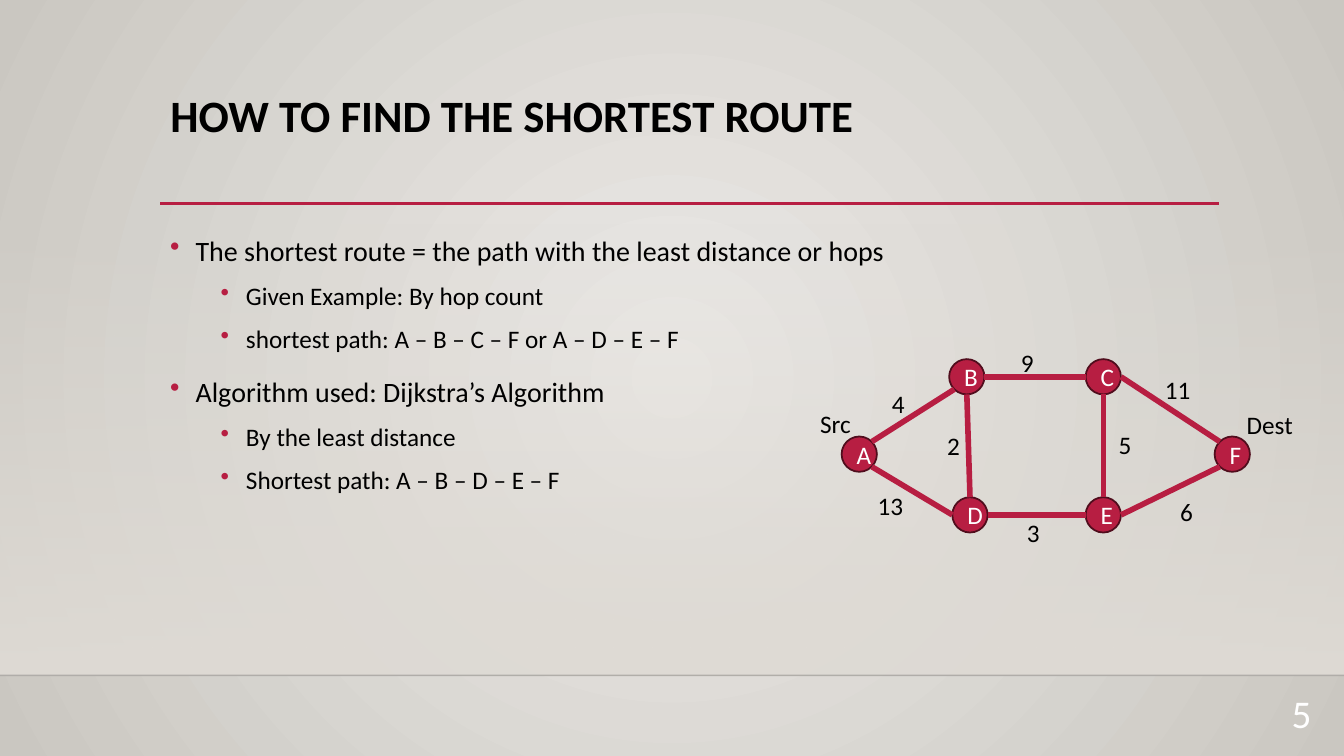
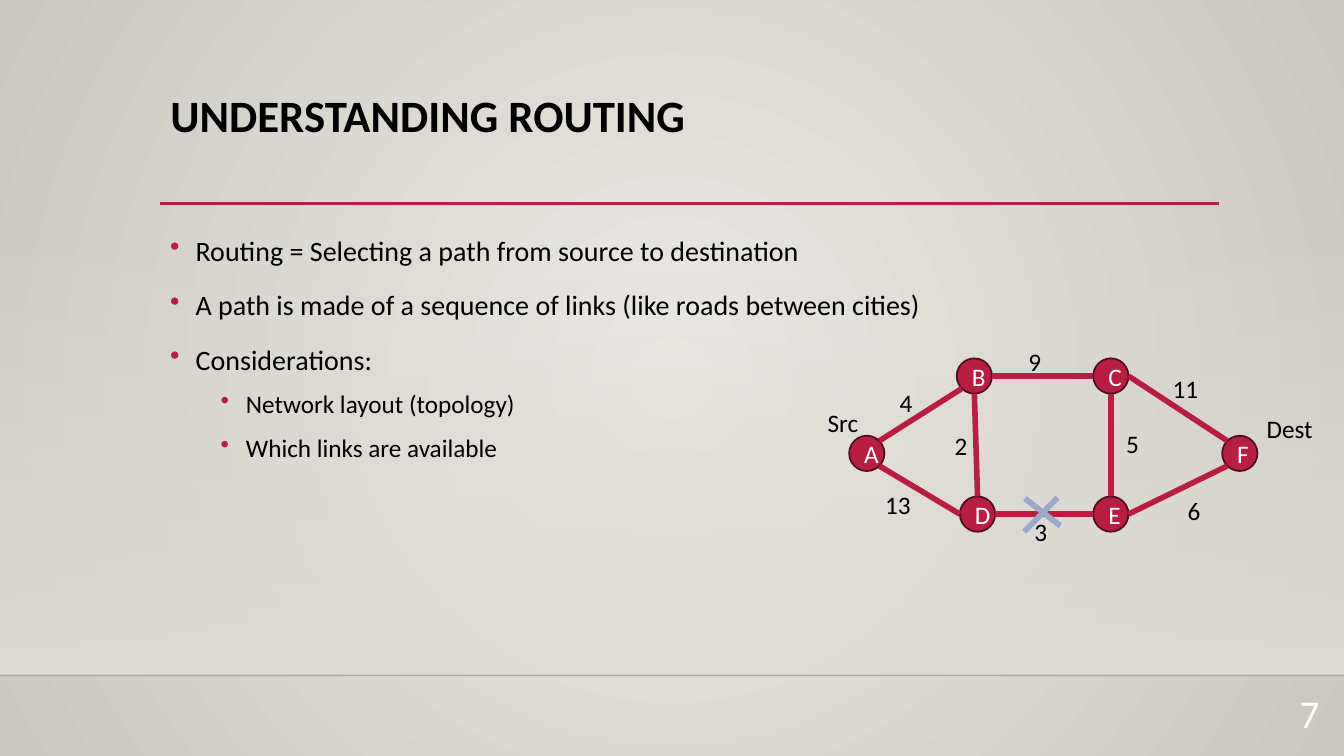
from lxml.etree import SubElement
from pptx import Presentation
from pptx.dml.color import RGBColor
from pptx.enum.shapes import MSO_CONNECTOR as Link, MSO_SHAPE as Form
from pptx.enum.text import MSO_ANCHOR as Anchor, MSO_AUTO_SIZE as Fit, PP_ALIGN as Align
from pptx.oxml.ns import qn
from pptx.util import Cm, Pt

WIDE, HIGH = 33.87, 19.05
LEFT, SPAN = 4.04, 26.67
BAND, FOOT = 5.61, 17.02
FONT = "Calibri"
RED, DARK, BLUE = "B71E42", "500D1D", "9BA8CA"
BLACK, WHITE, SAND, EDGE = "000000", "FFFFFF", "DFDBD5", "000001"
GLOW, RIM = "ECEAE7", "CAC7C1"

DISC = 0.89
NODES = {"B": (2.71, 0), "A": (0, 1.95), "D": (2.79, 3.48),
         "E": (6.15, 3.48), "F": (9.4, 1.95), "C": (6.15, 0)}
SITES = {"n": (0, -1), "s": (0, 1), "w": (-1, 0), "e": (1, 0),
         "ne": (0.71, -0.71), "se": (0.71, 0.71),
         "nw": (-0.71, -0.71), "sw": (-0.71, 0.71)}
ROADS = [("A", "ne", "B", "sw"), ("B", "e", "C", "w"), ("D", "e", "E", "w"),
         ("C", "e", "F", "nw"), ("E", "e", "F", "sw"), ("A", "se", "D", "w"),
         ("B", "s", "D", "n"), ("C", "s", "E", "n")]
TAGS = [("Src", -0.79, 1.12), ("4", 1.02, 0.61), ("11", 7.9, 0.25),
        ("5", 6.73, 1.65), ("3", 4.42, 3.86), ("9", 4.27, -0.43),
        ("13", 0.66, 3.18), ("6", 8.28, 3.33), ("2", 2.41, 1.68)]
CROSS = [((5.25, 3.51), (4.41, 4.37)), ((4.43, 3.53), (5.32, 4.22))]


def tint(code):
    """Turn a hex string into a colour."""
    return RGBColor.from_string(code)


def fade(node, part):
    """Give a colour node an opacity in percent."""
    SubElement(node, qn("a:alpha")).set("val", str(part * 1000))


def blend(fill, *codes):
    """Set a fill to a gradient of two colours."""
    fill.gradient()
    for stop, code in zip(fill.gradient_stops, codes):
        stop.color.rgb = tint(code)


def write(frame, words, size=18, color=BLACK, bold=False, align=Align.LEFT,
          lead=None, gap=0, first=True):
    """Write one formatted paragraph into a text frame and return it."""
    para = frame.paragraphs[0] if first else frame.add_paragraph()
    para.alignment, para.line_spacing = align, lead
    para.space_before = Pt(gap)
    run = para.add_run()
    run.text = words
    font = run.font
    font.name, font.size, font.bold = FONT, Pt(size), bold
    font.color.rgb = tint(color)
    return para


def box(slide, x, y, w, h):
    """Add a wrapping text box and return its frame."""
    frame = slide.shapes.add_textbox(Cm(x), Cm(y), Cm(w), Cm(h)).text_frame
    frame.word_wrap = True
    return frame


def rule(slide, start, end, color=RED, width=4):
    """Draw a straight line without shadow."""
    line = slide.shapes.add_connector(
        Link.STRAIGHT, *(Cm(v) for v in (*start, *end)))
    line.line.color.rgb = tint(color)
    line.line.width = Pt(width)
    SubElement(line.element.spPr, qn("a:effectLst"))
    return line


def dress(deck):
    """Give the master its round gradient background."""
    back = deck.slide_master.background
    blend(back.fill, GLOW, RIM)
    grad = back.element.find(".//" + qn("a:gradFill"))
    for lin in grad.findall(qn("a:lin")):
        grad.remove(lin)
    ring = SubElement(grad, qn("a:path"))
    ring.set("path", "circle")
    rect = SubElement(ring, qn("a:fillToRect"))
    for side in "ltrb":
        rect.set(side, "50000")


def base(deck, title, page, right):
    """Add a slide with band, rules, title and page number."""
    slide = deck.slides.add_slide(deck.slide_layouts[5])
    band = slide.shapes.add_shape(
        Form.RECTANGLE, 0, Cm(BAND), Cm(WIDE), Cm(FOOT - BAND))
    band.shadow.inherit = False
    band.line.fill.background()
    blend(band.fill, SAND, SAND)
    band.fill.gradient_angle = 270
    fade(band.element.spPr.find(".//" + qn("a:srgbClr")), 0)
    foot = rule(slide, (0, FOOT), (WIDE, FOOT), EDGE, 1)
    fade(foot.element.spPr.find(".//" + qn("a:srgbClr")), 20)
    rule(slide, (LEFT, 5.13), (30.73, 5.13), RED, 2.5)
    head = slide.shapes.title
    head.left, head.top = Cm(LEFT), Cm(2.24)
    head.width, head.height = Cm(SPAN), Cm(2.92)
    frame = head.text_frame
    frame.vertical_anchor, frame.auto_size = Anchor.TOP, Fit.NONE
    write(frame, title, size=32, bold=True, lead=0.9)
    write(box(slide, right - 2.26, 17.25, 2.26, 1.4), page,
          size=28, color=WHITE, align=Align.RIGHT)
    return slide


def points(slide, items, x, y, w, h):
    """Write a bullet list of (level, words) in a box."""
    frame = box(slide, x, y, w, h)
    for num, (level, words) in enumerate(items):
        para = write(frame, words, size=20 - 2 * level, lead=1.2,
                     gap=10 - 5 * level, first=num == 0)
        para.level = level
        props = para._p.get_or_add_pPr()
        props.set("marL", str(Cm(0.64 + 1.27 * level)))
        props.set("indent", str(Cm(-0.64)))
        color = SubElement(props, qn("a:buClr"))
        SubElement(color, qn("a:srgbClr")).set("val", RED)
        SubElement(props, qn("a:buChar")).set("char", "•")


def graph(slide, x, y, dest, cut=False):
    """Draw the network from its top left corner, with an optional cut link."""
    for name, (dx, dy) in NODES.items():
        disc = slide.shapes.add_shape(
            Form.OVAL, Cm(x + dx), Cm(y + dy), Cm(DISC), Cm(DISC))
        disc.shadow.inherit = False
        disc.fill.solid()
        disc.fill.fore_color.rgb = tint(RED)
        disc.line.color.rgb = tint(DARK)
        disc.line.width = Pt(1.25)
        write(disc.text_frame, name, color=WHITE, align=Align.CENTER)

    def spot(name, site):
        """Find a point on the rim of a node."""
        return [at + pos + DISC / 2 * (1 + step) for at, pos, step
                in zip((x, y), NODES[name], SITES[site])]

    for name, site, goal, end in ROADS:
        rule(slide, spot(name, site), spot(goal, end))
    for words, dx, dy in [*TAGS, ("Dest", *dest)]:
        write(box(slide, x + dx, y + dy, 2, 1.02), words)
    for ends in CROSS if cut else []:
        rule(slide, *((x + dx, y + dy) for dx, dy in ends), color=BLUE)


def main():
    """Build the deck and save it."""
    deck = Presentation()
    deck.slide_width, deck.slide_height = Cm(WIDE), Cm(HIGH)
    dress(deck)
    area = (LEFT, 5.59, SPAN, 9.58)

    slide = base(deck, "HOW TO FIND THE SHORTEST ROUTE", "5", 33.3)
    points(slide, [
        (0, "The shortest route = the path with the least distance or hops"),
        (1, "Given Example: By hop count"),
        (1, "shortest path: A – B – C – F or A – D – E – F"),
        (0, "Algorithm used: Dijkstra’s Algorithm"),
        (1, "By the least distance"),
        (1, "Shortest path: A – B – D – E – F")], *area)
    graph(slide, 21.21, 9.05, (9.96, 1.14))

    slide = base(deck, "UNDERSTANDING ROUTING", "7", 33.5)
    points(slide, [
        (0, "Routing = Selecting a path from source to destination"),
        (0, "A path is made of a sequence of links (like roads between cities)"),
        (0, "Considerations:"),
        (1, "Network layout (topology)"),
        (1, "Which links are available")], *area)
    graph(slide, 21.4, 9.03, (10.27, 1.26), cut=True)

    deck.save("out.pptx")


if __name__ == "__main__":
    main()
